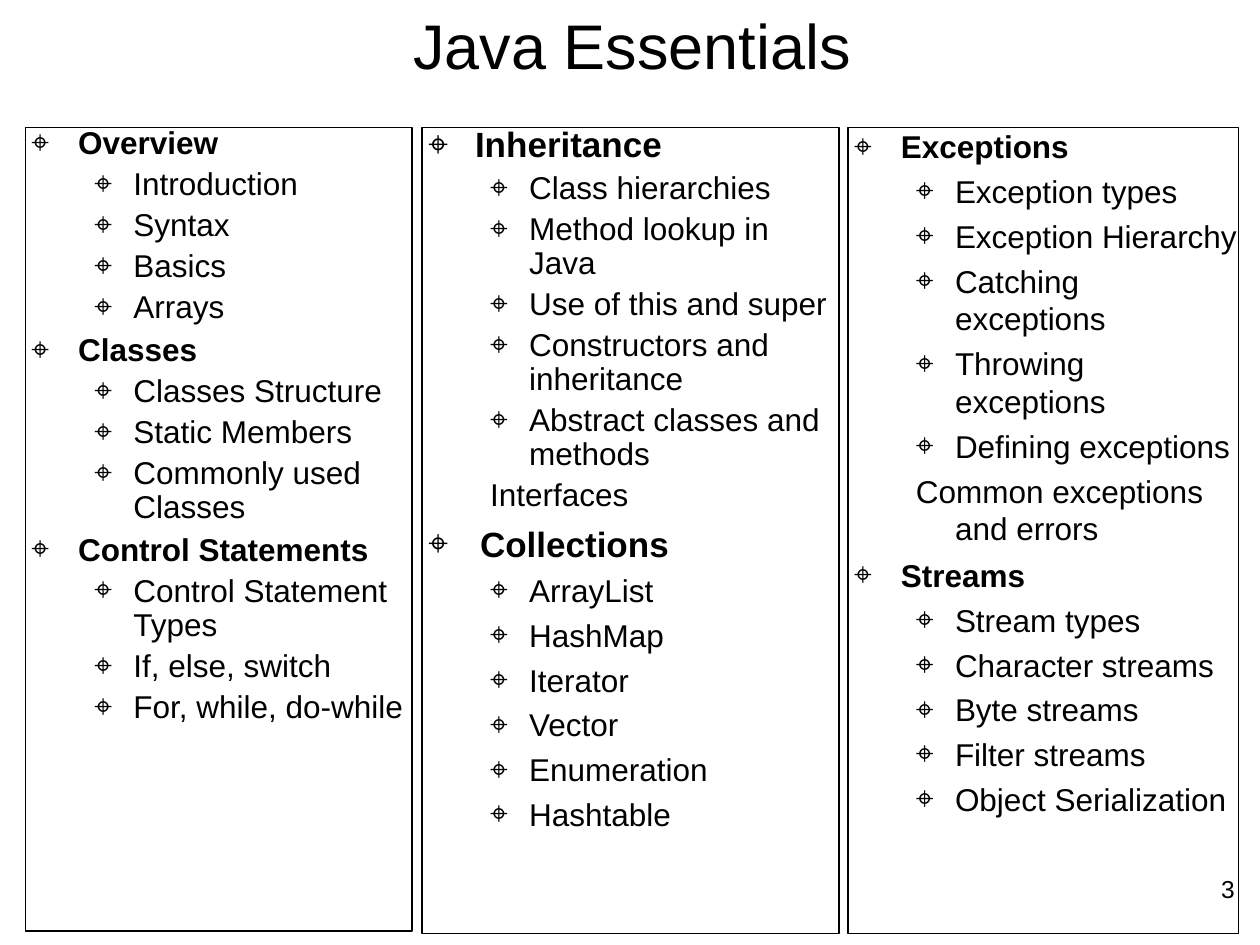
from dataclasses import dataclass

from lxml.etree import SubElement
from pptx import Presentation
from pptx.dml.color import RGBColor
from pptx.enum.shapes import MSO_SHAPE
from pptx.enum.text import MSO_ANCHOR, MSO_AUTO_SIZE, PP_ALIGN
from pptx.oxml.ns import qn
from pptx.util import Inches, Pt


@dataclass(frozen=True)
class Theme:
    font: str = "Arial"
    ink: str = "000000"
    title: int = 36
    large_heading: int = 20
    body: int = 18
    page_number: int = 14
    rule: float = 0.75
    bullet: str = "⌖"


THEME = Theme()


@dataclass(frozen=True)
class Box:
    left: float
    top: float
    width: float
    height: float

    def lengths(self):
        return [Inches(n) for n in (self.left, self.top, self.width, self.height)]


@dataclass(frozen=True)
class Section:
    heading: str
    topics: tuple
    closing: str = ""  # last topic, set without a bullet
    size: int = THEME.body
    spacing: float = 1.0
    margin: float = 0.42
    hanging: float = -0.37


TOP = 1.01
# Each column: frame, text height, topic margin, sections
COLUMNS = [
    (Box(0.2, TOP, 3.07, 6.38), 5.86, 0.86, [
        Section("Overview", ("Introduction", "Syntax", "Basics", "Arrays"),
                spacing=0.9),
        Section("Classes", ("Classes Structure", "Static Members",
                            "Commonly used Classes"), spacing=0.9),
        Section("Control Statements",
                ("Control Statement Types", "If, else, switch",
                 "For, while, do-while"), spacing=0.9),
    ]),
    (Box(3.35, TOP, 3.31, 6.4), 6.49, 0.85, [
        Section("Inheritance",
                ("Class hierarchies", "Method lookup in Java",
                 "Use of this and super", "Constructors and inheritance",
                 "Abstract classes and methods"),
                closing="Interfaces", size=THEME.large_heading, spacing=0.9),
        Section("Collections",
                ("ArrayList", "HashMap", "Iterator", "Vector", "Enumeration",
                 "Hashtable"),
                size=THEME.large_heading, margin=0.46, hanging=-0.41),
    ]),
    (Box(6.73, TOP, 3.1, 6.4), 6.49, 0.85, [
        Section("Exceptions",
                ("Exception types", "Exception Hierarchy",
                 "Catching exceptions", "Throwing exceptions",
                 "Defining exceptions"),
                closing="Common exceptions and errors"),
        Section("Streams",
                ("Stream types", "Character streams", "Byte streams",
                 "Filter streams", "Object Serialization")),
    ]),
]


def write(frame, text, *, size=THEME.body, bold=False, align=PP_ALIGN.LEFT,
          margin=0.0, hanging=0.0, spacing=1.0, before=0, bullet=False):
    """Add one formatted paragraph, using the empty first one when free."""
    first = not frame.text
    paragraph = frame.paragraphs[0] if first else frame.add_paragraph()
    properties = paragraph._p.get_or_add_pPr()
    properties.set("marL", str(Inches(margin)))
    properties.set("indent", str(Inches(hanging)))
    if bullet:
        bullet_color = SubElement(properties, qn("a:buClr"))
        SubElement(bullet_color, qn("a:srgbClr"), val=THEME.ink)
        SubElement(properties, qn("a:buFont"), typeface=THEME.font)
        SubElement(properties, qn("a:buChar"), char=THEME.bullet)
    else:
        SubElement(properties, qn("a:buNone"))
    paragraph.alignment = align
    paragraph.line_spacing = spacing
    paragraph.space_before = Pt(0 if first else before)
    run = paragraph.add_run()
    run.text = text
    run.font.name = THEME.font
    run.font.size = Pt(size)
    run.font.bold = bold
    run.font.color.rgb = RGBColor.from_string(THEME.ink)


def add_text_area(shapes, box, inset=0.0, anchor=MSO_ANCHOR.TOP, grow=False):
    frame = shapes.add_textbox(*box.lengths()).text_frame
    frame.word_wrap = True
    frame.auto_size = MSO_AUTO_SIZE.SHAPE_TO_FIT_TEXT if grow else MSO_AUTO_SIZE.NONE
    frame.vertical_anchor = anchor
    frame.margin_left = frame.margin_right = Inches(inset)
    frame.margin_top = frame.margin_bottom = Inches(inset)
    return frame


def add_title(slide, box):
    frame = add_text_area(slide.shapes, box, 0.06, MSO_ANCHOR.MIDDLE, grow=True)
    write(frame, "Java Essentials", size=THEME.title, align=PP_ALIGN.CENTER,
          margin=0.04)


def add_page_number(slide, box):
    frame = add_text_area(slide.shapes, box, grow=True)
    write(frame, "3", size=THEME.page_number, align=PP_ALIGN.RIGHT, margin=0.04)


def add_column(slide, box, text_height, topic_margin, sections):
    column = slide.shapes.add_group_shape().shapes

    # Border
    border = column.add_shape(MSO_SHAPE.RECTANGLE, *box.lengths())
    border.shadow.inherit = False
    border.fill.background()
    border.line.color.rgb = RGBColor.from_string(THEME.ink)
    border.line.width = Pt(THEME.rule)

    # Outline of topics
    outline = add_text_area(column, Box(box.left, box.top, box.width, text_height))
    for section in sections:
        write(outline, section.heading, size=section.size, bold=True,
              margin=section.margin, hanging=section.hanging,
              spacing=section.spacing, before=5, bullet=True)
        topic_format = dict(margin=topic_margin, hanging=-0.31,
                            spacing=section.spacing, before=4)
        for topic in section.topics:
            write(outline, topic, bullet=True, **topic_format)
        if section.closing:
            write(outline, section.closing, **topic_format)


def main():
    presentation = Presentation()
    presentation.slide_width = Inches(10)
    presentation.slide_height = Inches(7.5)
    slide = presentation.slides.add_slide(presentation.slide_layouts[6])

    add_page_number(slide, Box(7.17, 6.94, 2.63, 0.35))
    add_title(slide, Box(0.49, 0, 9.01, 0.71))
    for column in COLUMNS:
        add_column(slide, *column)

    presentation.save("out.pptx")


if __name__ == "__main__":
    main()
